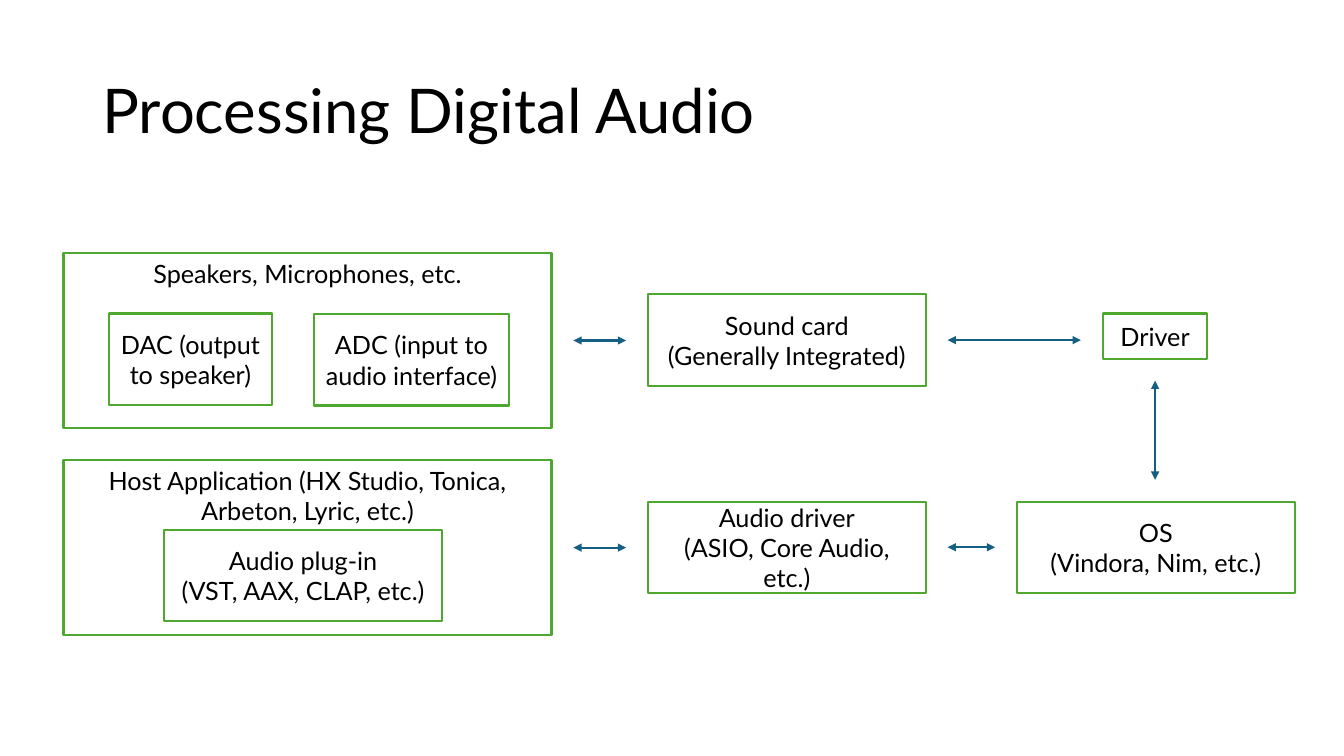
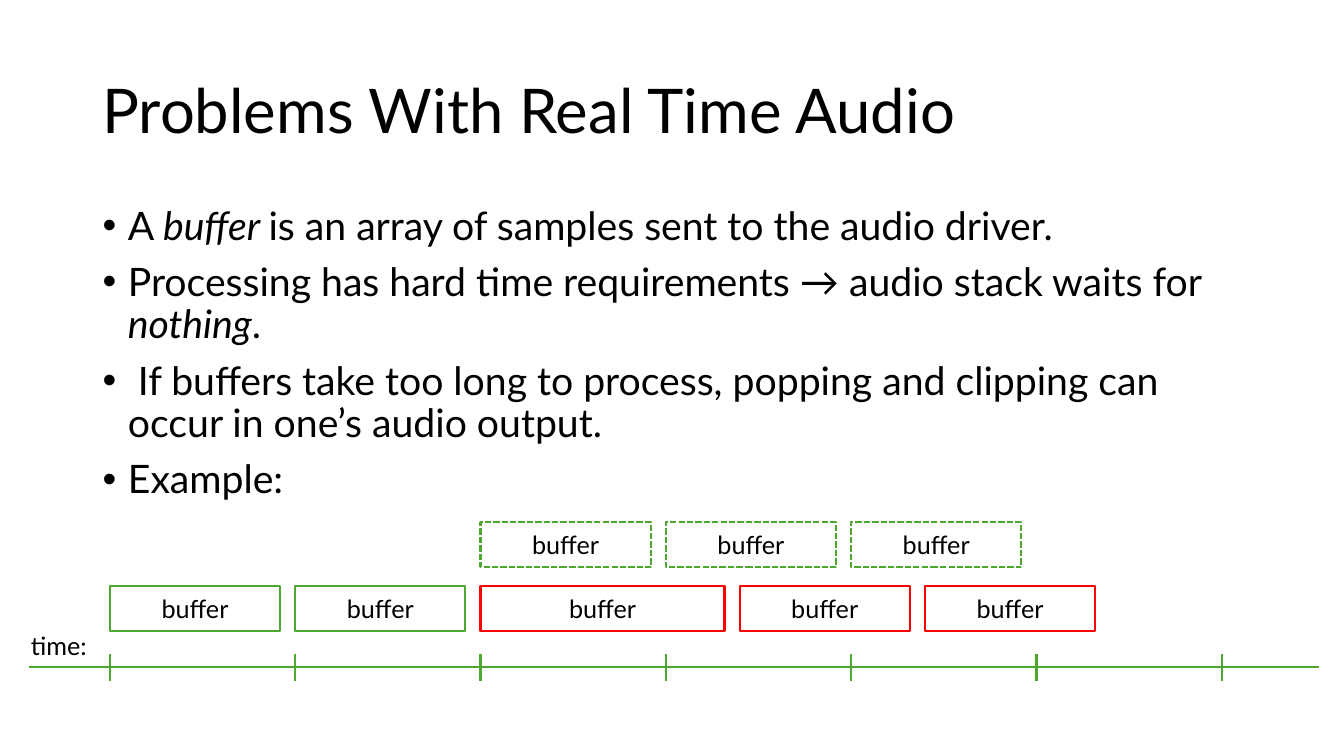
import pptx
import pptx.util
import pptx.dml.color
import pptx.enum.dml
import pptx.enum.shapes
import pptx.enum.text
import pptx.oxml.ns
import lxml.etree
from dataclasses import dataclass

Cm, Pt = pptx.util.Cm, pptx.util.Pt
RGB = pptx.dml.color.RGBColor.from_string
ALIGN = pptx.enum.text.PP_ALIGN
ANCHOR = pptx.enum.text.MSO_ANCHOR
FIT = pptx.enum.text.MSO_AUTO_SIZE
DASH = pptx.enum.dml.MSO_LINE.SQUARE_DOT


@dataclass(frozen=True)
class Theme:
    font: str = "Lato"
    ink: str = "000000"
    paper: str = "FFFFFF"
    green: str = "4EA72E"
    red: str = "FF0000"
    blue: str = "156082"
    title: int = 44
    body: int = 28
    label: int = 18
    line: float = 1.5


THEME = Theme()
SIZE = (33.87, 19.05)
TITLE = (2.33, 1.02, 29.21, 3.68)
BODY = (2.33, 5.07, 29.21, 12.09)

FLOW = "Processing Digital Audio"
PANELS = {
    "gear": (["Speakers, Microphones, etc."], (1.6, 6.38, 12.3, 4.4)),
    "host": (["Host Application (HX Studio, Tonica, Arbeton, Lyric, etc.)"],
             (1.6, 11.6, 12.3, 4.4)),
}
BOXES = {
    "plug": (["Audio plug-in", "(VST, AAX, CLAP, etc.)"], (4.14, 13.36, 7, 2.3)),
    "dac": (["DAC (output to speaker)"], (2.74, 7.9, 4.12, 2.3)),
    "adc": (["ADC (input to audio interface)"], (7.92, 7.92, 4.9, 2.3)),
    "card": (["Sound card", "(Generally Integrated)"], (16.33, 7.42, 7, 2.3)),
    "api": (["Audio driver", "(ASIO, Core Audio, etc.)"], (16.33, 12.64, 7, 2.3)),
    "driver": (["Driver"], (27.79, 7.9, 2.64, 1.14)),
    "os": (["OS", "(Vindora, Nim, etc.)"], (25.63, 12.64, 7, 2.3)),
}
ACROSS = [("gear", "card"), ("card", "driver"), ("host", "api"), ("api", "os")]
DOWN = [("driver", "os")]
GAP = 0.55

LIMITS = "Problems With Real Time Audio"
POINTS = [
    "A *buffer *is an array of samples sent to the audio driver.",
    "Processing has hard time requirements → audio stack waits for *nothing*.",
    " If buffers take too long to process, popping and clipping can occur in "
    "one’s audio output.",
    "Example:",
]
START, STEP, WIDE, LONG, HIGH = 2.77, 4.67, 4.29, 6.15, 1.14
LATE = THEME.red
ACTUAL = [(WIDE, THEME.green)] * 2 + [(LONG, LATE)] + [(WIDE, LATE)] * 2
PLANNED = [(WIDE, THEME.green)] * 3
AXIS = (0.74, 33.25, 16.81)
TICKS, REACH = 7, 0.34


def put(item, vals):
    for name, val in vals.items():
        setattr(item, name, val)


def place(item, area):
    put(item, dict(zip(("left", "top", "width", "height"), map(Cm, area))))


def write(frame, lines, size, form, para):
    put(frame, {"word_wrap": True, **form})
    for num, text in enumerate(lines):
        part = frame.add_paragraph() if num else frame.paragraphs[0]
        put(part, para)
        for odd, words in enumerate(text.split("*")):
            if words:
                run = part.add_run()
                run.text = words
                put(run.font, {"name": THEME.font, "size": Pt(size),
                               "italic": bool(odd % 2)})
                run.font.color.rgb = RGB(THEME.ink)


def stroke(line, tint, dash=None):
    line.color.rgb = RGB(tint)
    put(line, {"width": Pt(THEME.line), "dash_style": dash})


def box(slide, lines, area, tint=THEME.green, dash=None, panel=False):
    shape = slide.shapes.add_shape(
        pptx.enum.shapes.MSO_SHAPE.RECTANGLE, *map(Cm, area))
    shape.shadow.inherit = False
    if panel:
        shape.fill.background()
    else:
        shape.fill.solid()
        shape.fill.fore_color.rgb = RGB(THEME.paper)
    stroke(shape.line, tint, dash)
    form = {"vertical_anchor": ANCHOR.TOP if panel else ANCHOR.MIDDLE}
    write(shape.text_frame, lines, THEME.label, form, {"alignment": ALIGN.CENTER})


def rule(slide, ends, tint, heads=()):
    link = slide.shapes.add_connector(
        pptx.enum.shapes.MSO_CONNECTOR.STRAIGHT, *map(Cm, ends))
    stroke(link.line, tint)
    props = link._element.spPr
    qn = pptx.oxml.ns.qn
    for head in heads:
        lxml.etree.SubElement(props.find(qn("a:ln")), qn(head), type="triangle")
    lxml.etree.SubElement(props, qn("a:effectLst"))


def page(deck, kind, title):
    slide = deck.slides.add_slide(deck.slide_layouts[kind])
    head = slide.shapes.title
    place(head, TITLE)
    write(head.text_frame, [title], THEME.title,
          {"vertical_anchor": ANCHOR.MIDDLE, "auto_size": FIT.NONE},
          {"alignment": ALIGN.LEFT, "line_spacing": 0.9})
    return slide


def flow(deck):
    slide = page(deck, 5, FLOW)
    for group, panel in ((PANELS, True), (BOXES, False)):
        for lines, area in group.values():
            box(slide, lines, area, panel=panel)
    areas = {key: area for key, (_, area) in {**PANELS, **BOXES}.items()}
    heads = ("a:headEnd", "a:tailEnd")
    for start, end in ACROSS:
        x, y, wide, high = areas[start]
        mid = y + high / 2
        rule(slide, (x + wide + GAP, mid, areas[end][0] - GAP, mid),
             THEME.blue, heads)
    for start, end in DOWN:
        x, y, wide, high = areas[start]
        mid = x + wide / 2
        rule(slide, (mid, y + high + GAP, mid, areas[end][1] - GAP),
             THEME.blue, heads)


def row(slide, left, top, items, dash=None):
    for wide, tint in items:
        box(slide, ["buffer"], (left, top, wide, HIGH), tint, dash)
        left += wide + STEP - WIDE


def limits(deck):
    slide = page(deck, 1, LIMITS)
    body = slide.placeholders[1]
    place(body, BODY)
    write(body.text_frame, POINTS, THEME.body,
          {"vertical_anchor": ANCHOR.TOP, "auto_size": FIT.NONE},
          {"line_spacing": 0.9, "space_before": Pt(10)})
    for part in body.text_frame.paragraphs:
        props = part._p.get_or_add_pPr()
        props.set("marL", str(Cm(0.64)))
        props.set("indent", str(Cm(-0.64)))
    row(slide, START, 14.76, ACTUAL)
    row(slide, START + 2 * STEP, 13.16, PLANNED, DASH)
    left, right, mid = AXIS
    rule(slide, (left, mid, right, mid), THEME.green)
    for num in range(TICKS):
        x = START + num * STEP
        rule(slide, (x, mid - REACH, x, mid + REACH), THEME.green)
    note = slide.shapes.add_textbox(*map(Cm, (0.53, 15.77, 3.3, 1.02)))
    write(note.text_frame, ["time:"], THEME.label,
          {"auto_size": FIT.SHAPE_TO_FIT_TEXT}, {"alignment": ALIGN.LEFT})


def main():
    deck = pptx.Presentation()
    put(deck, dict(zip(("slide_width", "slide_height"), map(Cm, SIZE))))
    flow(deck)
    limits(deck)
    deck.save("out.pptx")


if __name__ == "__main__":
    main()
